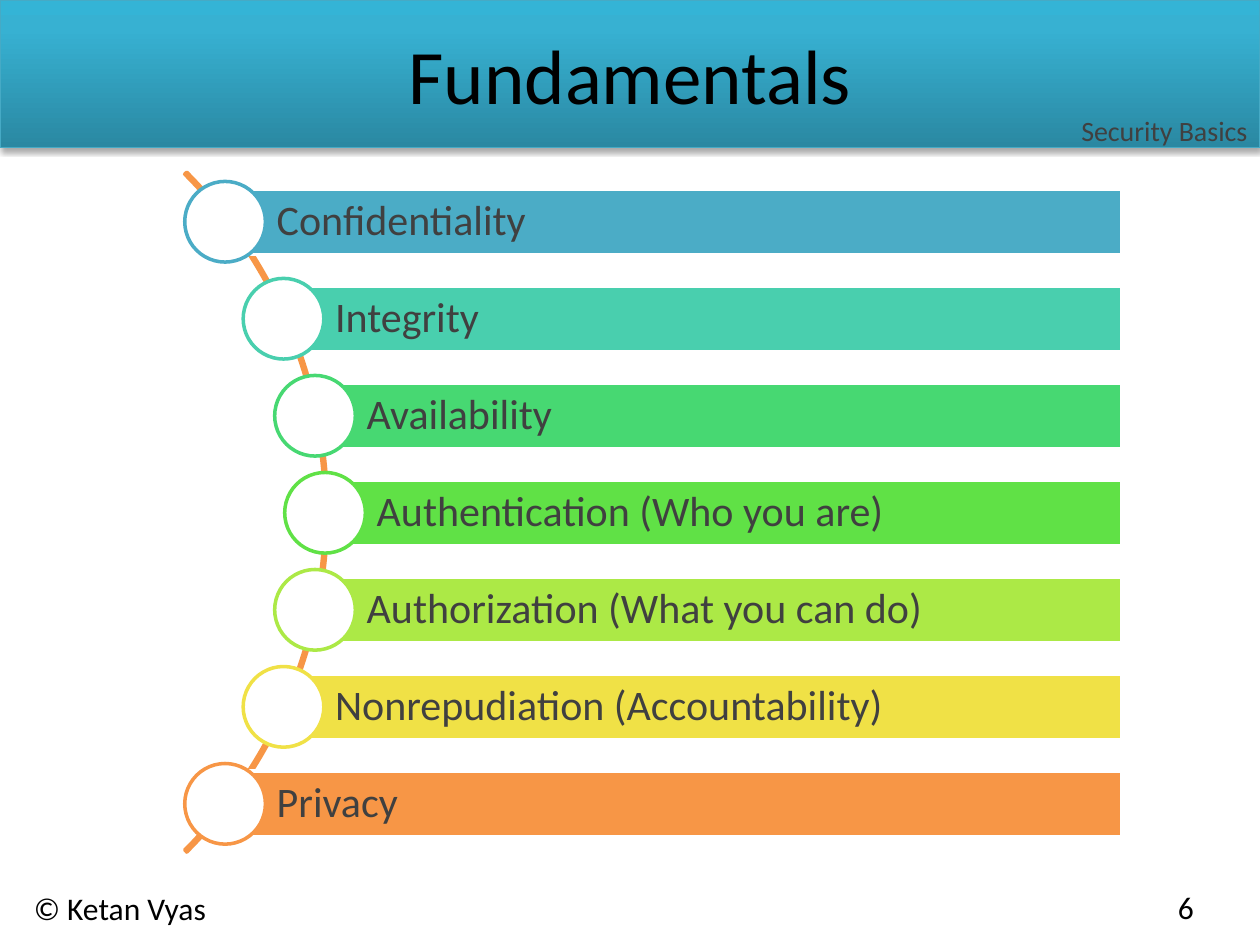
"""Build the security fundamentals slide: a curved list of seven principles."""
from copy import deepcopy
from dataclasses import dataclass
from math import sqrt
from typing import NamedTuple

from lxml import etree
from pptx import Presentation
from pptx.dml.color import RGBColor
from pptx.enum import shapes, text
from pptx.oxml.ns import qn
from pptx.util import Inches, Pt

KIND = shapes.MSO_SHAPE
ALIGN = text.PP_ALIGN
MID = text.MSO_ANCHOR.MIDDLE


@dataclass(frozen=True)
class Theme:
    """Hold the colours, type sizes and font."""
    font: str = "Calibri"
    black: str = "000000"
    grey: str = "404040"
    white: str = "FFFFFF"
    arc: str = "F79646"
    edge: str = "46AAC5"
    fade: tuple = ((0, "2A88A2"), (0.8, "37B1D2"), (1, "34B4D6"))
    title: int = 44
    item: int = 24
    foot: int = 18
    topic: int = 16


class Box(NamedTuple):
    """Describe a place on the slide in inches."""
    left: float
    top: float
    width: float
    height: float


class Item(NamedTuple):
    """Describe one row of the list."""
    label: str
    color: str


class Note(NamedTuple):
    """Describe one plain text box."""
    label: str
    box: Box
    size: int
    color: str
    align: ALIGN


THEME = Theme()
ITEMS = (
    Item("Confidentiality", "4BACC6"),
    Item("Integrity", "49CFAE"),
    Item("Availability", "47D872"),
    Item("Authentication (Who you are)", "60E146"),
    Item("Authorization (What you can do)", "ACE946"),
    Item("Nonrepudiation (Accountability)", "F0E146"),
    Item("Privacy", "F79646"),
)
NOTES = (
    Note("© Ketan Vyas", Box(0.17, 7.01, 2.75, 0.4), THEME.foot, THEME.black, ALIGN.LEFT),
    Note("6", Box(9.25, 7, 0.67, 0.4), THEME.foot, THEME.black, ALIGN.LEFT),
    Note("Security Basics", Box(0, 0.85, 10, 0.37), THEME.topic, THEME.grey, ALIGN.RIGHT),
)
PEAK, RADIUS, MIDDLE, STEP = 2.58, 3.76, 4.07, 0.77
RIGHT, BAR, DOT = 8.9, 0.52, 0.64


def place(box: Box) -> list:
    """Turn a box into lengths."""
    return [Inches(side) for side in box]


def write(shape, label: str, size: int, color: str, align: ALIGN, **frame) -> None:
    """Fill a shape with one styled line of text."""
    body = shape.text_frame
    for name, value in {"word_wrap": True, **frame}.items():
        setattr(body, name, value)
    para = body.paragraphs[0]
    para.alignment = align
    run = para.add_run()
    run.text = label
    for name, value in {"name": THEME.font, "size": Pt(size)}.items():
        setattr(run.font, name, value)
    run.font.color.rgb = RGBColor.from_string(color)


def draw(slide, kind: KIND, box: Box, fill: str | None, line: str, weight: float = 2):
    """Add a flat shape with a fill and an outline."""
    shape = slide.shapes.add_shape(kind, *place(box))
    shape.shadow.inherit = False
    if fill:
        shape.fill.solid()
        shape.fill.fore_color.rgb = RGBColor.from_string(fill)
    else:
        shape.fill.background()
    shape.line.color.rgb = RGBColor.from_string(line)
    shape.line.width = Pt(weight)
    return shape


def add_band(slide) -> None:
    """Add the shaded header band behind the title."""
    band = draw(slide, KIND.RECTANGLE, Box(0, 0, 10, 1.17), None, THEME.edge, 0.75)
    band.fill.gradient()
    band.fill.gradient_angle = 90
    stops = band.element.spPr.find(".//" + qn("a:gsLst"))
    stops.append(deepcopy(stops[0]))
    for stop, (spot, color) in zip(band.fill.gradient_stops, THEME.fade):
        stop.position = spot
        stop.color.rgb = RGBColor.from_string(color)
    effect = band.element.spPr.find(qn("a:effectLst"))
    shade = etree.SubElement(effect, qn("a:outerShdw"), blurRad=str(Pt(3.1)),
                             dist=str(Pt(1.8)), dir="5400000", rotWithShape="0")
    tint = etree.SubElement(shade, qn("a:srgbClr"), val=THEME.black)
    etree.SubElement(tint, qn("a:alpha"), val="35000")
    slide.shapes.element.insert(2, band.element)


def add_title(slide, label: str) -> None:
    """Move and fill the title placeholder."""
    title = slide.shapes.title
    sides = ("left", "top", "width", "height")
    for name, value in zip(sides, place(Box(0.5, 0.17, 9, 0.83))):
        setattr(title, name, value)
    write(title, label, THEME.title, THEME.black, ALIGN.CENTER, vertical_anchor=MID)


def add_arc(slide) -> None:
    """Add the thin arc that joins the dots."""
    arc = draw(slide, KIND.BLOCK_ARC, Box(-5.03, 0.25, 7.63, 7.63), None, THEME.arc)
    for spot, value in enumerate((189, 27, 0.003)):
        arc.adjustments[spot] = value


def add_item(slide, item: Item, shift: float) -> None:
    """Add a bar and its dot at a vertical shift from the middle row."""
    x = PEAK - RADIUS + sqrt(RADIUS ** 2 - shift ** 2)
    y = MIDDLE + shift
    pad = Inches(0.07)
    bar = draw(slide, KIND.RECTANGLE, Box(x, y - BAR / 2, RIGHT - x, BAR),
               item.color, THEME.white)
    write(bar, item.label, THEME.item, THEME.grey, ALIGN.LEFT, vertical_anchor=MID,
          margin_left=Inches(0.41), margin_top=pad, margin_right=pad, margin_bottom=pad)
    bar.text_frame.paragraphs[0].line_spacing = 0.9
    draw(slide, KIND.OVAL, Box(x - DOT / 2, y - DOT / 2, DOT, DOT), THEME.white, item.color)


def add_note(slide, note: Note) -> None:
    """Add a plain text box."""
    box = slide.shapes.add_textbox(*place(note.box))
    write(box, note.label, note.size, note.color, note.align,
          auto_size=text.MSO_AUTO_SIZE.SHAPE_TO_FIT_TEXT)


def main() -> None:
    """Build and save the slide."""
    deck = Presentation()
    deck.slide_width, deck.slide_height = Inches(10), Inches(7.5)
    slide = deck.slides.add_slide(deck.slide_layouts[5])
    add_band(slide)
    add_title(slide, "Fundamentals")
    add_arc(slide)
    for row, item in enumerate(ITEMS):
        add_item(slide, item, (row - len(ITEMS) // 2) * STEP)
    for note in NOTES:
        add_note(slide, note)
    deck.save("out.pptx")


if __name__ == "__main__":
    main()
